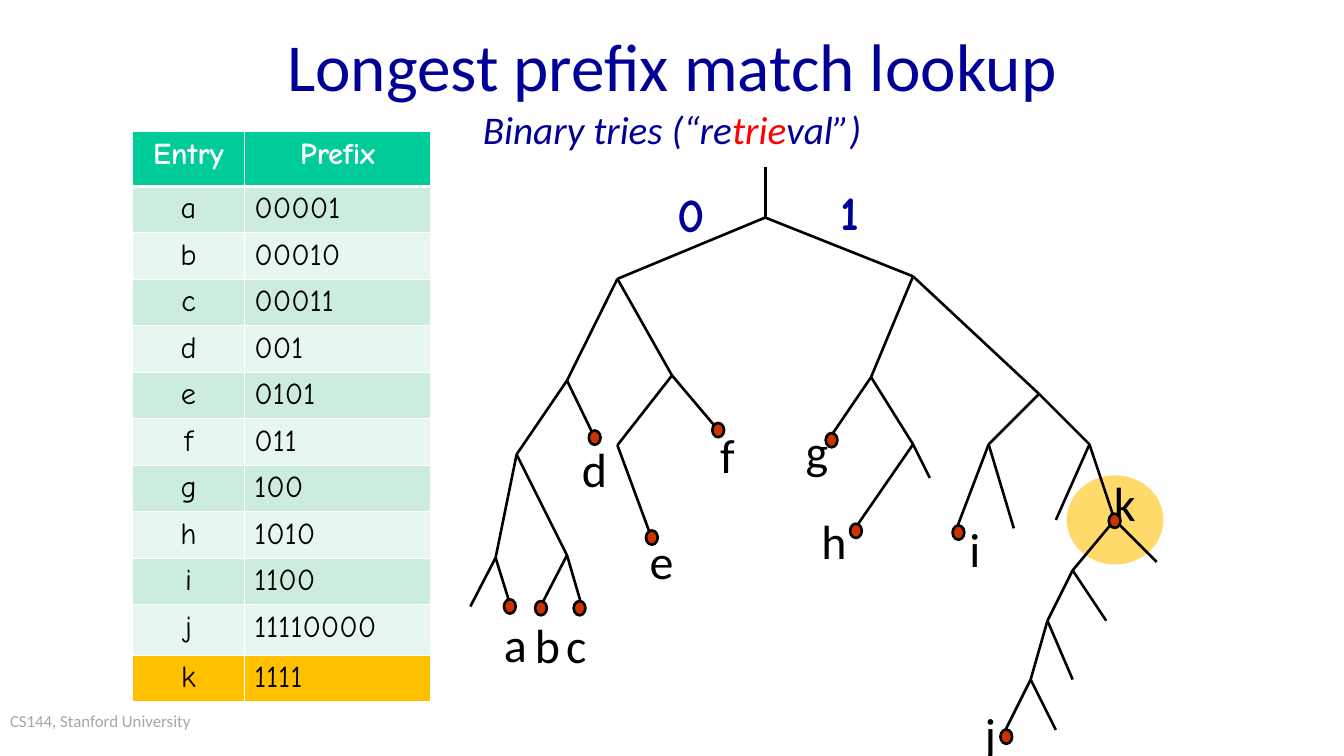
from lxml import etree
from pptx import Presentation
from pptx.dml.color import RGBColor
from pptx.enum.shapes import MSO_CONNECTOR, MSO_SHAPE
from pptx.enum.text import MSO_ANCHOR, MSO_AUTO_SIZE, PP_ALIGN
from pptx.oxml.ns import qn
from pptx.util import Cm, Pt

OVAL = MSO_SHAPE.OVAL
STRAIGHT = MSO_CONNECTOR.STRAIGHT
MIDDLE = MSO_ANCHOR.MIDDLE
NO_FIT, GROW = MSO_AUTO_SIZE.NONE, MSO_AUTO_SIZE.SHAPE_TO_FIT_TEXT
LEFT, CENTER = PP_ALIGN.LEFT, PP_ALIGN.CENTER

BLACK = RGBColor(0x00, 0x00, 0x00)
WHITE = RGBColor(0xFF, 0xFF, 0xFF)
NAVY = RGBColor(0x00, 0x00, 0x99)
RED = RGBColor(0xFF, 0x00, 0x00)
GRAY = RGBColor(0xA6, 0xA6, 0xA6)
GREEN = RGBColor(0x00, 0xCC, 0x99)
MINT = RGBColor(0xCC, 0xEC, 0xDE)
PALE_MINT = RGBColor(0xE7, 0xF6, 0xEF)
AMBER = RGBColor(0xFF, 0xC0, 0x00)
RUST = RGBColor(0xCC, 0x33, 0x00)

CM_PER_UNIT = 2.54
DOT_WIDTH, DOT_HEIGHT = 0.14, 0.17

ENTRIES = [
    ("a", "00001", (6.07, 7.22), (5.9, 7.27, 0.48, 0.79)),
    ("b", "00010", (6.44, 7.24), (6.27, 7.28, 0.51, 0.79)),
    ("c", "00011", (6.9, 7.24), (6.64, 7.28, 0.45, 0.79)),
    ("d", "001", (7.08, 5.21), (6.83, 5.18, 0.51, 0.79)),
    ("e", "0101", (7.76, 6.4), (7.73, 6.41, 0.29, 0.62)),
    ("f", "011", (8.55, 5.12), (8.57, 5.14, 0.18, 0.62)),
    ("g", "100", (9.9, 5.24), (9.59, 5.09, 0.27, 0.62)),
    ("h", "1010", (10.19, 6.32), (9.78, 6.17, 0.3, 0.62)),
    ("i", "1100", (11.41, 6.34), (11.54, 6.26, 0.13, 0.62)),
    ("j", "11110000", (11.98, 8.77), (11.72, 8.46, 0.14, 0.62)),
    ("k", "1111", (13.27, 6.2), (13.26, 5.72, 0.26, 0.62)),
]
PADDED_LABELS = "abcd"

ROOT = (9.11, 2.59)
NODES = {
    "": ROOT, "0": (7.35, 3.32), "1": (10.87, 3.29),
    "00": (6.75, 4.53), "01": (8, 4.47), "10": (10.37, 4.49), "11": (12.37, 4.69),
    "000": (6.15, 5.41), "001": (7.08, 5.21), "010": (7.35, 5.3), "011": (8.55, 5.12),
    "100": (9.9, 5.18), "101": (10.87, 5.29), "110": (11.77, 5.29), "111": (12.97, 5.29),
    "0000": (5.9, 6.64), "0001": (6.75, 6.61), "0101": (7.76, 6.41),
    "1010": (10.2, 6.26), "1011": (11.07, 5.69), "1100": (11.4, 6.26),
    "1101": (12.07, 6.29), "1110": (12.57, 6.19), "1111": (13.27, 6.19),
    "00000": (5.6, 7.22), "00001": (6.08, 7.22), "00010": (6.45, 7.19), "00011": (6.92, 7.19),
    "11110": (12.77, 6.79), "11111": (13.77, 6.69),
    "111100": (12.47, 7.39), "111101": (13.17, 7.39),
    "1111000": (12.27, 8.09), "1111001": (12.77, 8.09),
    "11110000": (11.97, 8.69), "11110001": (12.57, 8.69),
}


def lengths(*values):
    return [Cm(value * CM_PER_UNIT) for value in values]


def write(paragraph, text, size=41.1, font="Calibri", color=BLACK, bold=False, italic=False):
    run = paragraph.add_run()
    run.text = text
    run.font.size = Pt(size)
    run.font.name = font
    run.font.color.rgb = color
    run.font.bold = bold
    run.font.italic = italic


class TrieSlide:
    hand_font = "Comic Neue"
    line_width = Pt(2.25)

    def __init__(self, presentation):
        self.slide = presentation.slides.add_slide(presentation.slide_layouts[5])
        self.shapes = self.slide.shapes

    def title(self, box):
        title = self.shapes.title
        title.left, title.top, title.width, title.height = lengths(*box)
        frame = title.text_frame
        frame.auto_size = NO_FIT
        frame.vertical_anchor = MIDDLE
        paragraph = frame.paragraphs[0]
        paragraph.alignment = CENTER
        write(paragraph, "Longest prefix match lookup", size=57.6, color=NAVY)
        paragraph.add_line_break()
        for text, color in [("Binary tries (“re", NAVY), ("trie", RED), ("val”)", NAVY)]:
            write(paragraph, text, size=33.6, color=color, italic=True)

    def text(self, box, text, margins=(0, 0), alignment=CENTER, spacing=0.9, wrap=False, **style):
        frame = self.shapes.add_textbox(*lengths(*box)).text_frame
        frame.word_wrap = wrap
        frame.auto_size = NO_FIT if wrap else GROW
        horizontal, vertical = lengths(*margins)
        frame.margin_left = frame.margin_right = horizontal
        frame.margin_top = frame.margin_bottom = vertical
        paragraph = frame.paragraphs[0]
        paragraph.alignment = alignment
        paragraph.line_spacing = spacing
        write(paragraph, text, **style)

    def ellipse(self, box, color, opacity=None):
        shape = self.shapes.add_shape(OVAL, *lengths(*box))
        shape.shadow.inherit = False
        shape.fill.solid()
        shape.fill.fore_color.rgb = color
        if opacity is None:
            shape.line.color.rgb = BLACK
            shape.line.width = self.line_width
        else:
            shape.line.fill.background()
            color_element = shape.fill._xPr.find(qn("a:solidFill"))[0]
            etree.SubElement(color_element, qn("a:alpha"), val=str(opacity * 1000))

    def dot(self, center):
        x, y = center
        self.ellipse((x - DOT_WIDTH / 2, y - DOT_HEIGHT / 2, DOT_WIDTH, DOT_HEIGHT), RUST)

    def branch(self, start, end):
        connector = self.shapes.add_connector(STRAIGHT, *lengths(*start, *end))
        connector.line.color.rgb = BLACK
        connector.line.width = self.line_width
        etree.SubElement(connector._element.spPr, qn("a:effectLst"))

    def cell(self, cell, text, fill, alignment, header):
        properties = cell._tc.get_or_add_tcPr()
        for side in "LRTB":
            width = Pt(3) if header and side == "B" else Pt(1)
            border = etree.SubElement(properties, qn(f"a:ln{side}"), w=str(width))
            solid = etree.SubElement(border, qn("a:solidFill"))
            etree.SubElement(solid, qn("a:srgbClr"), val=str(WHITE))
        cell.fill.solid()
        cell.fill.fore_color.rgb = fill
        cell.margin_left, cell.margin_top = lengths(0.12, 0.06)
        cell.margin_right, cell.margin_bottom = cell.margin_left, cell.margin_top
        paragraph = cell.text_frame.paragraphs[0]
        paragraph.alignment = alignment
        write(paragraph, text, size=26, font=self.hand_font,
              color=WHITE if header else BLACK, bold=header)

    def prefix_table(self, box, column_widths, row_heights):
        rows = [("Entry", "Prefix")] + [entry[:2] for entry in ENTRIES]
        table = self.shapes.add_table(len(rows), 2, *lengths(*box)).table
        for column, width in zip(table.columns, lengths(*column_widths)):
            column.width = width
        for row, height in zip(table.rows, lengths(*row_heights)):
            row.height = height
        fills = [GREEN] + [MINT, PALE_MINT] * 5 + [AMBER]
        for index, (values, fill) in enumerate(zip(rows, fills)):
            for column, value in enumerate(values):
                alignment = LEFT if index and column else CENTER
                self.cell(table.cell(index, column), value, fill, alignment, index == 0)

    def trie(self):
        self.branch((ROOT[0], 1.99), ROOT)
        for prefix, position in NODES.items():
            if prefix:
                self.branch(NODES[prefix[:-1]], position)
        for entry, _, center, label_box in ENTRIES:
            if entry in PADDED_LABELS:
                self.text(label_box, entry, margins=(0.1, 0.05), alignment=LEFT, spacing=1.0)
            else:
                self.text(label_box, entry)
            self.dot(center)


def main():
    presentation = Presentation()
    presentation.slide_width, presentation.slide_height = lengths(16, 9)
    page = TrieSlide(presentation)
    page.text((0, 8.4, 3.87, 0.6), "CS144, Stanford University", margins=(0.12, 0.06),
              alignment=LEFT, spacing=1.0, wrap=True, size=14.4, color=GRAY)
    page.ellipse((12.7, 5.66, 1.15, 1.06), AMBER, opacity=59)
    page.title((2.9, 0.3, 10.2, 1.5))
    for bit, box in [("0", (8.05, 2.28, 0.35, 0.62)), ("1", (9.99, 2.25, 0.26, 0.62))]:
        page.text(box, bit, font=page.hand_font, color=NAVY, bold=True)
    page.prefix_table((1.58, 1.57, 3.55, 6.79), (1.33, 2.22),
                      [0.65] + [0.55] * 9 + [0.6, 0.55])
    page.trie()
    presentation.save("out.pptx")


if __name__ == "__main__":
    main()
